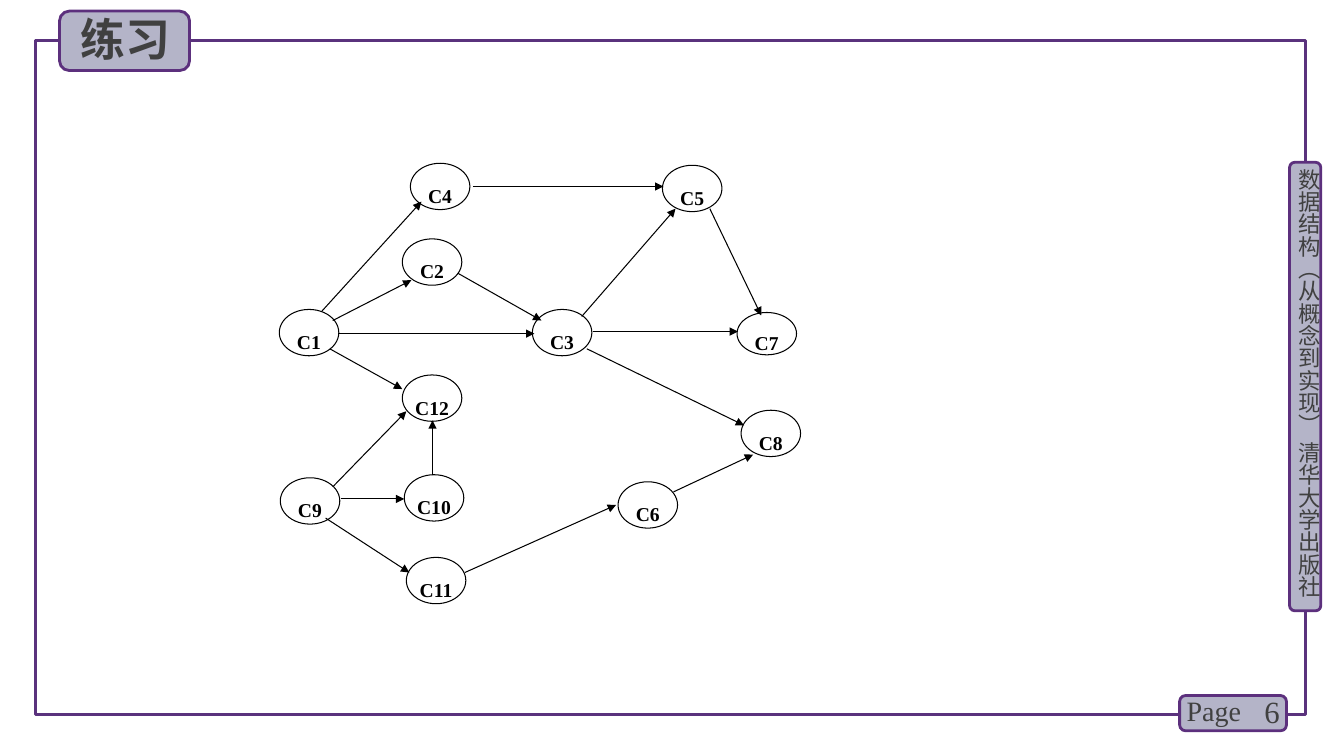
"""Build the exercise slide: a directed graph of courses C1 to C12 inside a framed page."""
from dataclasses import dataclass
from typing import NamedTuple

from lxml.etree import SubElement
from pptx import Presentation
from pptx.dml.color import RGBColor
from pptx.enum.shapes import MSO_CONNECTOR, MSO_SHAPE
from pptx.enum.text import MSO_ANCHOR, MSO_AUTO_SIZE, PP_ALIGN
from pptx.oxml.ns import qn
from pptx.shapes.autoshape import Shape
from pptx.slide import Slide
from pptx.util import Inches, Pt


@dataclass(frozen=True)
class Theme:
    frame: RGBColor = RGBColor(0x5A, 0x32, 0x7D)
    badge_line: RGBColor = RGBColor(0x5C, 0x30, 0x7D)
    badge_fill: RGBColor = RGBColor(0xB4, 0xB4, 0xC8)
    text: RGBColor = RGBColor(0x40, 0x40, 0x40)
    ink: RGBColor = RGBColor(0, 0, 0)
    chinese: str = "Noto Sans CJK SC"
    latin: str = "Times New Roman"
    title_size: int = 32
    number_size: int = 22
    page_size: int = 20
    sidebar_size: int = 16
    node_size: int = 14
    frame_width: float = 2.25
    badge_width: float = 2
    graph_width: float = 0.75


class Box(NamedTuple):
    left: float
    top: float
    width: float
    height: float


class Node(NamedTuple):
    name: str
    left: float
    top: float
    height: float = 0.46


class Arrow(NamedTuple):
    start: tuple[float, float]
    end: tuple[float, float]


THEME = Theme()
NODE_WIDTH = 0.59
FRAME = Box(0.35, 0.4, 12.6, 6.69)
SIDEBAR_BADGE = Box(12.79, 1.61, 0.31, 4.45)
PAGE_BADGE = Box(11.7, 6.9, 1.06, 0.35)
TITLE_BADGE = Box(0.59, 0.11, 1.29, 0.59)

NODES = [
    Node("C1", 2.77, 3.07), Node("C2", 3.99, 2.37), Node("C3", 5.28, 3.07),
    Node("C4", 4.07, 1.62), Node("C5", 6.57, 1.64), Node("C6", 6.13, 4.78),
    Node("C7", 7.31, 3.1, 0.42), Node("C8", 7.35, 4.07), Node("C9", 2.78, 4.74),
    Node("C10", 4.01, 4.71), Node("C11", 4.03, 5.53), Node("C12", 3.99, 3.72),
]

ARROWS = [
    Arrow((3.36, 3.31), (5.3, 3.31)), Arrow((3.3, 3.18), (4.08, 2.78)),
    Arrow((4.54, 2.71), (5.37, 3.18)), Arrow((3.19, 3.09), (4.18, 2)),
    Arrow((4.69, 1.85), (6.58, 1.85)), Arrow((5.77, 3.14), (6.7, 2.07)),
    Arrow((5.88, 3.29), (7.32, 3.29)), Arrow((7.04, 2.07), (7.55, 3.13)),
    Arrow((3.27, 3.46), (3.99, 3.86)), Arrow((3.3, 4.83), (4.03, 4.08)),
    Arrow((3.38, 4.95), (4.01, 4.95)), Arrow((4.29, 4.71), (4.29, 4.17)),
    Arrow((3.23, 5.14), (4.06, 5.68)), Arrow((4.61, 5.68), (6.11, 5.01)),
    Arrow((6.68, 4.88), (7.47, 4.51)), Arrow((5.82, 3.46), (7.38, 4.22)),
]


def set_attributes(target: object, values: dict) -> None:
    for name, value in values.items():
        setattr(target, name, value)


def write_text(shape: Shape, text: str, font_name: str, size: int, color: RGBColor,
               bold: bool = False, align: PP_ALIGN = PP_ALIGN.LEFT, **frame_format) -> None:
    frame = shape.text_frame
    set_attributes(frame, {"auto_size": MSO_AUTO_SIZE.NONE, "word_wrap": True,
                           "vertical_anchor": MSO_ANCHOR.TOP, **frame_format})
    paragraph = frame.paragraphs[0]
    paragraph.alignment = align
    run = paragraph.add_run()
    run.text = text
    set_attributes(run.font, {"name": font_name, "size": Pt(size), "bold": bold})
    run.font.color.rgb = color
    SubElement(run.font._element, qn("a:ea"), typeface=font_name)


def add_outline(slide: Slide, kind: MSO_SHAPE, box: Box, color: RGBColor, width: float,
                fill: RGBColor | None = None) -> Shape:
    shape = slide.shapes.add_shape(kind, *map(Inches, box))
    shape.shadow.inherit = False
    shape.line.color.rgb = color
    shape.line.width = Pt(width)
    if fill is None:
        shape.fill.background()
    else:
        shape.fill.solid()
        shape.fill.fore_color.rgb = fill
    return shape


def add_badge(slide: Slide, box: Box) -> None:
    add_outline(slide, MSO_SHAPE.ROUNDED_RECTANGLE, box, THEME.badge_line,
                THEME.badge_width, THEME.badge_fill)


def add_label(slide: Slide, box: Box, text: str, font_name: str, size: int, **options) -> Shape:
    label = slide.shapes.add_textbox(*map(Inches, box))
    write_text(label, text, font_name, size, THEME.text, **options)
    return label


def add_sidebar(slide: Slide) -> None:
    add_badge(slide, SIDEBAR_BADGE)
    margins = {f"margin_{side}": 0 for side in ("left", "right", "top", "bottom")}
    label = add_label(slide, Box(12.85, 1.67, 0.27, 4.49), "数据结构（从概念到实现） 清华大学出版社",
                      THEME.chinese, THEME.sidebar_size, **margins)
    label.text_frame._txBody.bodyPr.set("vert", "eaVert")


def add_page_number(slide: Slide) -> None:
    add_badge(slide, PAGE_BADGE)
    add_label(slide, Box(12.2, 6.86, 0.59, 0.4), "6", THEME.latin, THEME.number_size,
              align=PP_ALIGN.RIGHT, vertical_anchor=MSO_ANCHOR.MIDDLE)
    add_label(slide, Box(11.67, 6.83, 0.78, 0.44), "Page", THEME.latin, THEME.page_size)


def add_title(slide: Slide) -> None:
    add_badge(slide, TITLE_BADGE)
    title = slide.shapes.title
    slide.shapes._spTree.append(title._element)
    set_attributes(title, {"left": Inches(0.7), "top": Inches(0.07),
                           "width": Inches(1.19), "height": Inches(0.64)})
    write_text(title, "练习", THEME.chinese, THEME.title_size, THEME.text, bold=True)


def add_node(slide: Slide, node: Node) -> None:
    box = Box(node.left, node.top, NODE_WIDTH, node.height)
    oval = add_outline(slide, MSO_SHAPE.OVAL, box, THEME.ink, THEME.graph_width)
    write_text(oval, node.name, THEME.latin, THEME.node_size, THEME.ink, bold=True,
               align=PP_ALIGN.CENTER, vertical_anchor=MSO_ANCHOR.MIDDLE, word_wrap=False,
               margin_top=Inches(0.18), margin_bottom=0)


def add_arrow(slide: Slide, arrow: Arrow) -> None:
    connector = slide.shapes.add_connector(
        MSO_CONNECTOR.STRAIGHT, *map(Inches, (*arrow.start, *arrow.end)))
    connector.line.color.rgb = THEME.ink
    connector.line.width = Pt(THEME.graph_width)
    SubElement(connector.line._get_or_add_ln(), qn("a:tailEnd"), type="triangle")
    SubElement(connector._element.spPr, qn("a:effectLst"))


def main() -> None:
    presentation = Presentation()
    presentation.slide_width = Inches(13.33)
    presentation.slide_height = Inches(7.5)
    slide = presentation.slides.add_slide(presentation.slide_layouts[5])
    add_outline(slide, MSO_SHAPE.RECTANGLE, FRAME, THEME.frame, THEME.frame_width)
    add_sidebar(slide)
    add_page_number(slide)
    add_title(slide)
    for node in NODES:
        add_node(slide, node)
    for arrow in ARROWS:
        add_arrow(slide, arrow)
    presentation.save("out.pptx")


if __name__ == "__main__":
    main()
